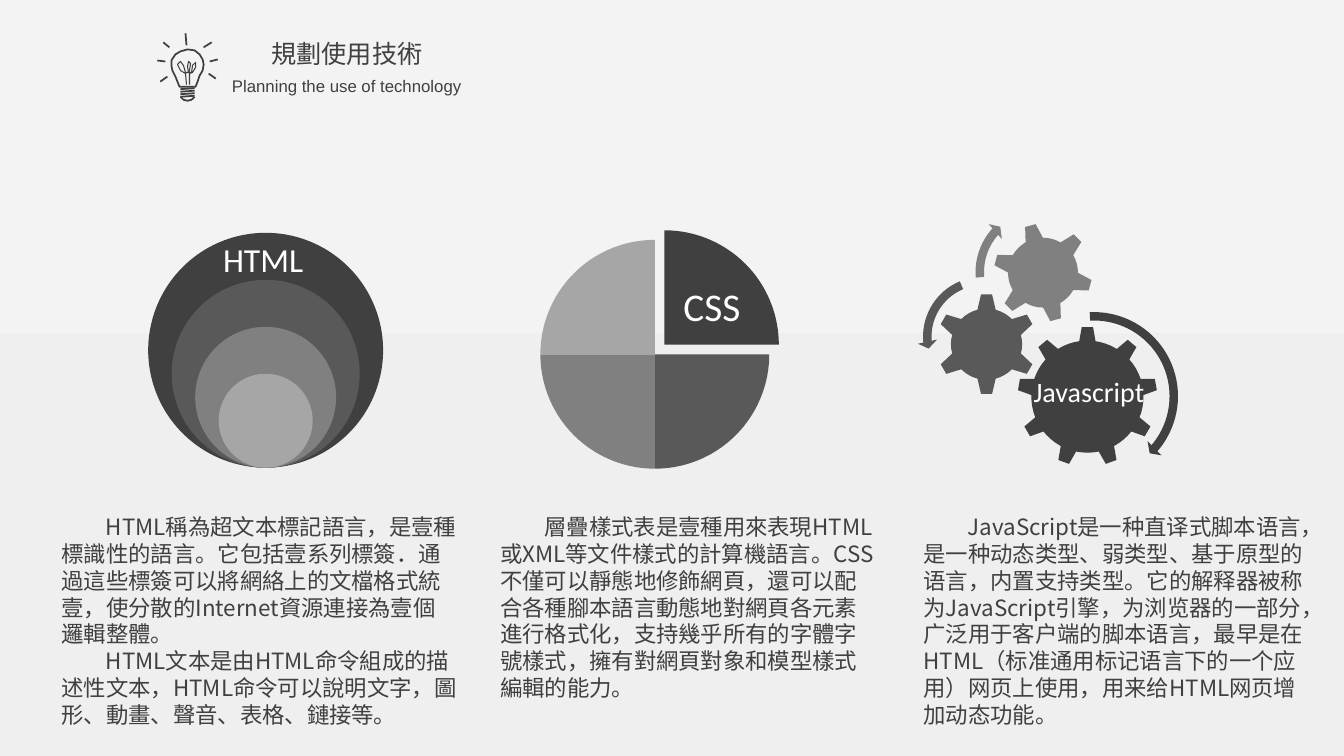
from lxml.etree import SubElement
from pptx import Presentation
from pptx.dml.color import RGBColor
from pptx.enum.shapes import MSO_CONNECTOR, MSO_SHAPE
from pptx.enum.text import MSO_ANCHOR, MSO_AUTO_SIZE, PP_ALIGN
from pptx.oxml.ns import qn
from pptx.util import Inches, Pt

COLORS = {
    "dark": "404040", "medium": "595959", "gray": "808080", "light": "A6A6A6",
    "white": "FFFFFF", "floor": "EFEFEF", "wall": "F3F3F3",
}
SHADES = ("dark", "medium", "gray", "light")
CJK_FONT = "Noto Sans CJK SC"
HUNDREDTH = Inches(0.01)

# Icon points are hundredths of an inch from the icon's top left corner
BULB_GLASS = [(31, 17), (24, 19), (19, 22), (15, 28), (15, 33), (16, 38), (19, 44),
              (21, 49), (23, 54), (39, 54), (41, 49), (43, 43), (46, 38), (47, 32),
              (46, 27), (43, 22), (38, 18)]
BULB_FILAMENT = [(30, 52), (29, 41), (24, 38), (21, 32), (24, 29), (27, 33), (29, 40),
                 (32, 40), (31, 34), (32, 29), (34, 31), (33, 38), (32, 40), (35, 40),
                 (36, 33), (39, 30), (39, 35), (36, 40), (33, 41), (33, 52)]
BULB_FOOT = [(24, 64), (27, 67), (31, 68), (35, 67), (38, 64)]
BULB_THREADS = [[(24, y + 0.5), (38, y - 0.5)] for y in (56, 58.5, 61, 63.5)]
BULB_RAYS = [[(29, 1), (30, 13)], [(55, 10), (47, 15)], [(61, 27), (53, 29)],
             [(52, 41), (59, 46)], [(7, 10), (13, 15)], [(1, 28), (9, 29)],
             [(4, 49), (11, 44)]]

COLUMN_TEXTS = (
    "HTML稱為超文本標記語言，是壹種標識性的語言。它包括壹系列標簽．通過這些標簽可以將網絡上的"
    "文檔格式統壹，使分散的Internet資源連接為壹個邏輯整體。\n"
    "HTML文本是由HTML命令組成的描述性文本，HTML命令可以說明文字，圖形、動畫、聲音、表格、鏈接等。",
    "層疊樣式表是壹種用來表現HTML或XML等文件樣式的計算機語言。CSS不僅可以靜態地修飾網頁，"
    "還可以配合各種腳本語言動態地對網頁各元素進行格式化，支持幾乎所有的字體字號樣式，"
    "擁有對網頁對象和模型樣式編輯的能力。",
    "JavaScript是一种直译式脚本语言，是一种动态类型、弱类型、基于原型的语言，内置支持类型。"
    "它的解释器被称为JavaScript引擎，为浏览器的一部分，广泛用于客户端的脚本语言，"
    "最早是在HTML（标准通用标记语言下的一个应用）网页上使用，用来给HTML网页增加动态功能。",
)


def rgb(name):
    return RGBColor.from_string(COLORS[name])


def place(shape, box):
    shape.left, shape.top, shape.width, shape.height = map(Inches, box)


def write_text(shape, text, size, font=CJK_FONT, color="dark", align=PP_ALIGN.CENTER,
               anchor=MSO_ANCHOR.MIDDLE, indent=0, line_height=None):
    frame = shape.text_frame
    frame.word_wrap = True
    frame.auto_size = MSO_AUTO_SIZE.NONE
    frame.vertical_anchor = anchor
    frame.text = text
    for paragraph in frame.paragraphs:
        paragraph.alignment = align
        paragraph.space_before = Pt(0)
        if line_height:
            paragraph.line_spacing = Pt(line_height)
        properties = paragraph._p.get_or_add_pPr()
        properties.set("marL", "0")
        properties.set("indent", str(Inches(indent)))
        SubElement(properties, qn("a:buNone"))
        for run in paragraph.runs:
            run.font.size = Pt(size)
            run.font.bold = False
            run.font.name = font
            run.font.color.rgb = rgb(color)
            SubElement(run._r.get_or_add_rPr(), qn("a:ea")).set("typeface", font)


def add_label(slide, box, text, size):
    label = slide.shapes.add_textbox(*map(Inches, box))
    write_text(label, text, size, font="Calibri", color="white")


def add_solid(shapes, kind, box, color, adjustments=(), rotation=0):
    shape = shapes.add_shape(kind, *map(Inches, box))
    shape.shadow.inherit = False
    shape.fill.solid()
    shape.fill.fore_color.rgb = rgb(color)
    shape.line.fill.background()
    shape.rotation = rotation
    for index, value in enumerate(adjustments):
        shape.adjustments[index] = value


def add_outline(shapes, left, top, points, closed=False, weight=1.25):
    builder = shapes.build_freeform(*points[0], scale=HUNDREDTH)
    builder.add_line_segments(points[1:], close=closed)
    outline = builder.convert_to_shape(Inches(left), Inches(top))
    outline.shadow.inherit = False
    outline.fill.background()
    outline.line.color.rgb = rgb("dark")
    outline.line.width = Pt(weight)


def add_stroke(shapes, left, top, ends):
    (x1, y1), (x2, y2) = ends
    stroke = shapes.add_connector(
        MSO_CONNECTOR.STRAIGHT,
        Inches(left + x1 / 100), Inches(top + y1 / 100),
        Inches(left + x2 / 100), Inches(top + y2 / 100))
    stroke.line.color.rgb = rgb("dark")
    stroke.line.width = Pt(1.25)
    SubElement(stroke._element.spPr, qn("a:effectLst"))


def add_bulb(slide, left, top):
    shapes = slide.shapes.add_group_shape().shapes
    add_outline(shapes, left, top, BULB_GLASS, closed=True)
    add_outline(shapes, left, top, BULB_FILAMENT, weight=0.75)
    add_outline(shapes, left, top, BULB_FOOT)
    for ends in BULB_THREADS + BULB_RAYS:
        add_stroke(shapes, left, top, ends)


def add_header(slide, title, subtitle, left, top, width):
    place(title, (left, top, width, 0.4))
    write_text(title, "規劃使用技術", 18)
    place(subtitle, (left, top + 0.37, width, 0.3))
    write_text(subtitle, "Planning the use of technology", 12, font="Arial")
    add_bulb(slide, left + 0.84, top - 0.01)


def add_nested_circles(slide, left, top, size):
    """Circles that shrink by a fifth and share their lowest point."""
    shapes = slide.shapes.add_group_shape().shapes
    for step, shade in enumerate(SHADES):
        diameter = size * (1 - step / 5)
        box = (left + (size - diameter) / 2, top + size - diameter, diameter, diameter)
        add_solid(shapes, MSO_SHAPE.OVAL, box, shade)
    add_label(slide, (left + 0.4, top + 0.01, 1.48, 0.5), "HTML", 24)


def add_quarters(slide, left, top, size):
    """Four quarter pies, the first one pulled out to the upper right."""
    shapes = slide.shapes.add_group_shape().shapes
    for step, shade in enumerate(SHADES):
        start = (162 + 54 * step) % 216
        pull = 0 if step else 0.095
        add_solid(shapes, MSO_SHAPE.PIE, (left + pull, top - pull, size, size), shade,
                  (start, (start + 54) % 216))
    add_label(slide, (left + 0.96, top + 0.37, 1.48, 0.57), "CSS", 28)


def add_gears(slide, left, top):
    shapes = slide.shapes.add_group_shape().shapes
    right_arrow, left_arrow = MSO_SHAPE.CIRCULAR_ARROW, MSO_SHAPE.LEFT_CIRCULAR_ARROW
    parts = (
        (MSO_SHAPE.GEAR_9, 0.99, 1.24, 1.39, "dark", (), 0),
        (MSO_SHAPE.GEAR_6, 0.18, 0.91, 1.01, "medium", (), 0),
        (MSO_SHAPE.GEAR_6, 0.75, 0.21, 0.99, "gray", (), 345),
        (right_arrow, 0.86, 1.04, 1.78, "dark", (0.047, 2.99, 24.436, 160.276, 0.055), 0),
        (left_arrow, 0, 0.69, 1.3, "medium", (0.065, 4.3, 104.891, 148.378, 0.075), 0),
        (right_arrow, 0.52, 0, 1.4, "gray", (0.06, 3.941, 133.138, 105.082, 0.07), 0),
    )
    for kind, x, y, size, shade, adjustments, rotation in parts:
        add_solid(shapes, kind, (left + x, top + y, size, size), shade, adjustments, rotation)
    add_label(slide, (left + 0.96, top + 1.66, 1.48, 0.44), "Javascript", 20)


def paint_background(slide):
    fill = slide.background.fill
    fill.gradient()
    fill.gradient_angle = 90
    for stop, shade, position in zip(fill.gradient_stops, ("floor", "wall"), (0.12, 1)):
        stop.color.rgb = rgb(shade)
        stop.position = position


def main():
    presentation = Presentation()
    presentation.slide_width, presentation.slide_height = Inches(13.33), Inches(7.5)
    comparison_layout = presentation.slide_layouts[4]
    slide = presentation.slides.add_slide(comparison_layout)
    paint_background(slide)
    title, subtitle, *bodies = list(slide.placeholders)[:5]
    add_header(slide, title, subtitle, 0.71, 0.33, 5.46)
    add_nested_circles(slide, 1.47, 2.31, 2.33)
    add_quarters(slide, 5.36, 2.38, 2.27)
    add_gears(slide, 9.1, 2)
    columns = ((0.51, 4.12, 2.25), (4.86, 3.94, 1.98), (9.06, 4.01, 2.25))
    for body, text, (left, width, height) in zip(bodies, COLUMN_TEXTS, columns):
        place(body, (left, 5.04, width, height))
        write_text(body, text, 16, align=PP_ALIGN.LEFT, anchor=MSO_ANCHOR.TOP,
                   indent=0.44, line_height=19.2)
    presentation.save("out.pptx")


if __name__ == "__main__":
    main()
